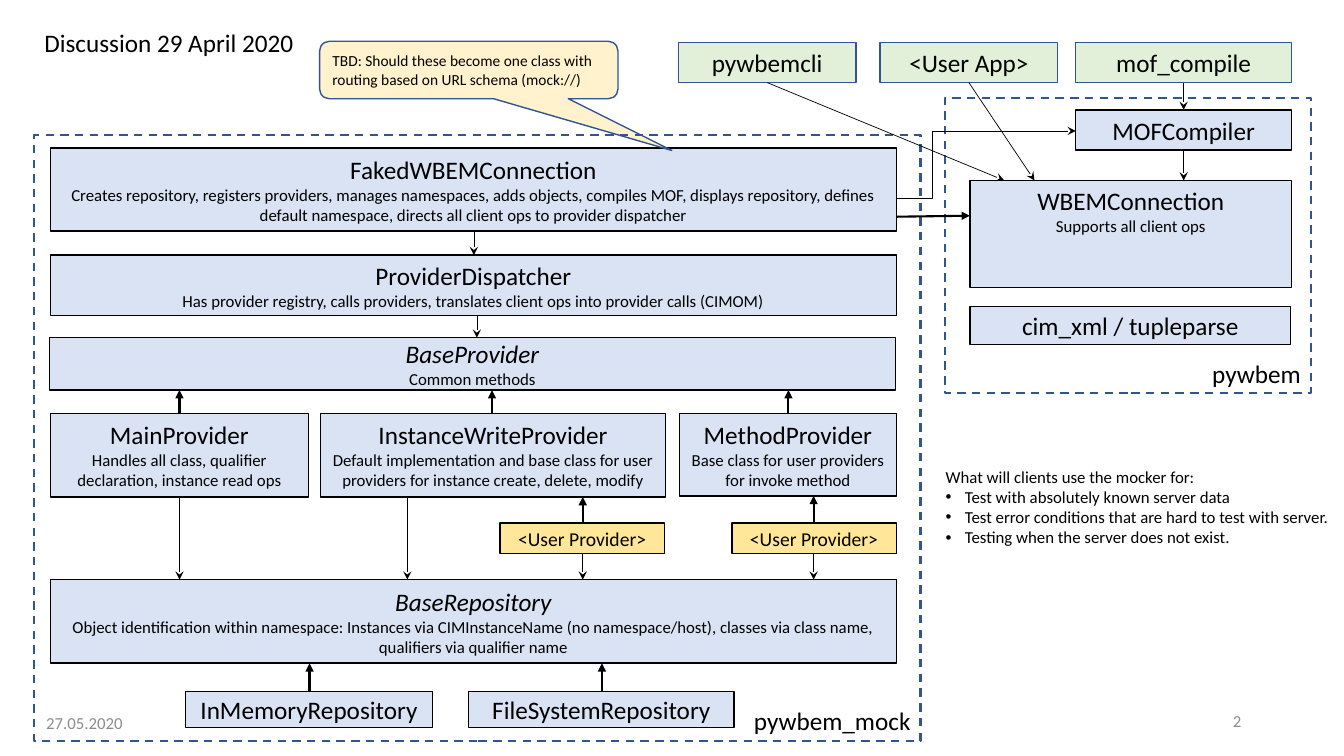
"""Build the class diagram slide of the mock support discussion."""
from lxml.etree import SubElement
from pptx import Presentation
from pptx.dml.color import RGBColor
from pptx.enum.dml import MSO_LINE
from pptx.enum.shapes import MSO_CONNECTOR, MSO_SHAPE
from pptx.enum.text import MSO_ANCHOR, MSO_AUTO_SIZE, PP_ALIGN
from pptx.oxml.ns import qn
from pptx.util import Inches, Pt

BLACK, NAVY, GRAY = "000000", "325491", "8C8C8C"
BLUE, GREEN, YELLOW, CREAM = "DAE3F3", "E2F0D9", "FFE699", "FFF2CC"

TITLE = "Discussion 29 April 2020"
QUESTION = "What will clients use the mocker for:"
ANSWERS = [
    "Test with absolutely known server data",
    "Test error conditions that are hard to test with server.",
    "Testing when the server does not exist.",
]
CALLOUT = "TBD: Should these become one class with routing based on URL schema (mock://)"

CLASSES = {
    "memory": ((1.84, 6.86, 2.45, 0.36), "InMemoryRepository", ""),
    "file": ((4.65, 6.86, 2.63, 0.36), "FileSystemRepository", ""),
    "compiler": ((10.67, 1.09, 2.14, 0.4), "MOFCompiler", ""),
    "faked": ((0.5, 1.47, 8.39, 0.82), "FakedWBEMConnection",
              "Creates repository, registers providers, manages namespaces, adds objects, "
              "compiles MOF, displays repository, defines default namespace, "
              "directs all client ops to provider dispatcher"),
    "connection": ((9.62, 1.79, 3.19, 1.06), "WBEMConnection", "Supports all client ops"),
    "xml": ((9.62, 3.04, 3.18, 0.38), "cim_xml / tupleparse", ""),
    "dispatcher": ((0.5, 2.53, 8.39, 0.6), "ProviderDispatcher",
                   "Has provider registry, calls providers, "
                   "translates client ops into provider calls (CIMOM)"),
    "base": ((0.49, 3.35, 8.39, 0.52), "BaseProvider", "Common methods"),
    "main": ((0.5, 4.1, 2.56, 0.83), "MainProvider",
             "Handles all class, qualifier declaration, instance read ops"),
    "write": ((3.18, 4.1, 3.42, 0.83), "InstanceWriteProvider",
              "Default implementation and base class for user providers "
              "for instance create, delete, modify"),
    "method": ((6.74, 4.1, 2.15, 0.82), "MethodProvider",
               "Base class for user providers for invoke method"),
    "repository": ((0.5, 5.75, 8.39, 0.83), "BaseRepository",
                   "Object identification within namespace: Instances via CIMInstanceName "
                   "(no namespace/host), classes via class name, qualifiers via qualifier name"),
}
USER_PROVIDERS = {"user write": (4.96, 5.19, 1.63, 0.3), "user method": (7.26, 5.19, 1.63, 0.3)}
CLIENTS = {
    "cli": ((6.73, 0.42, 1.76, 0.4), "pywbemcli"),
    "app": ((8.73, 0.42, 1.76, 0.4), "<User App>"),
    "mof": ((10.67, 0.42, 2.14, 0.4), "mof_compile"),
}
ABSTRACT = {"base", "repository"}
PACKAGES = [((0.34, 1.34, 8.79, 6.01), "pywbem_mock"), ((9.37, 0.97, 3.63, 2.93), "pywbem")]

CALLS = [
    ("cli", "connection", 7.61, 9.96), ("app", "connection", 9.61, 10.26),
    ("mof", "compiler", 11.74, 11.74), ("compiler", "connection", 11.74, 11.74),
    ("faked", "dispatcher", 4.7, 4.7), ("dispatcher", "base", 4.73, 4.73),
    ("main", "repository", 1.78, 1.78), ("write", "repository", 4.04, 4.04),
    ("user write", "repository", 5.78, 5.78), ("user method", "repository", 8.07, 8.07),
]
INHERITS = [
    ("main", "base", 1.78), ("write", "base", 4.88), ("method", "base", 7.82),
    ("user write", "write", 5.78), ("user method", "method", 8.07),
    ("memory", "repository", 3.07), ("file", "repository", 5.97),
]


def color(value):
    return RGBColor.from_string(value)


def write(frame, lines, align=PP_ALIGN.CENTER, anchor=MSO_ANCHOR.MIDDLE):
    """Fill a text frame with (text, size, italic, color) lines."""
    frame.text = "\n".join(line[0] for line in lines)
    frame.word_wrap = True
    frame.auto_size = MSO_AUTO_SIZE.NONE
    frame.vertical_anchor = anchor
    for para, (_, size, italic, ink) in zip(frame.paragraphs, lines):
        para.alignment = align
        para.space_before = Pt(0)
        font = para.runs[0].font
        font.name, font.size, font.italic = "Calibri", Pt(size), italic
        font.color.rgb = color(ink)


def add_box(area, fill=None, line=BLACK, width=1, kind=MSO_SHAPE.RECTANGLE):
    box = slide.shapes.add_shape(kind, *map(Inches, area))
    box.shadow.inherit = False
    if fill:
        box.fill.solid()
        box.fill.fore_color.rgb = color(fill)
    else:
        box.fill.background()
    box.line.color.rgb = color(line)
    box.line.width = Pt(width)
    return box


def add_arrow(start, end, width=0.5, head="stealth", kind=MSO_CONNECTOR.STRAIGHT):
    arrow = slide.shapes.add_connector(kind, *map(Inches, start + end))
    arrow.line.color.rgb = color(BLACK)
    arrow.line.width = Pt(width)
    SubElement(arrow.line._get_or_add_ln(), qn("a:tailEnd"), type=head)
    SubElement(arrow._element.spPr, qn("a:effectLst"))
    return arrow


def join(source, target, start_x, end_x, **style):
    """Run an arrow between the facing edges of two boxes."""
    _, top, _, height = areas[source]
    _, target_top, _, target_height = areas[target]
    if top < target_top:
        start_y, end_y = top + height, target_top
    else:
        start_y, end_y = top, target_top + target_height
    add_arrow((start_x, start_y), (end_x, end_y), **style)


def place(shape, area):
    shape.left, shape.top, shape.width, shape.height = map(Inches, area)


deck = Presentation()
deck.slide_width, deck.slide_height = Inches(13.33), Inches(7.5)
slide = deck.slides.add_slide(deck.slide_layouts[1])
title, body = slide.shapes.title, slide.placeholders[1]

place(title, (0.34, 0.22, 2.7, 0.4))
write(title.text_frame, [(TITLE, 18, False, BLACK)], PP_ALIGN.LEFT, MSO_ANCHOR.TOP)
title.text_frame.word_wrap = False

place(body, (9.28, 4.58, 4.05, 0.91))
write(body.text_frame, [(text, 12, False, BLACK) for text in [QUESTION] + ANSWERS],
      PP_ALIGN.LEFT, MSO_ANCHOR.TOP)
for number, para in enumerate(body.text_frame.paragraphs):
    properties = para._p.get_or_add_pPr()
    indent = Inches(0.19) if number else 0
    properties.set("marL", str(indent))
    properties.set("indent", str(-indent))
    if number:
        SubElement(properties, qn("a:buFont"), typeface="Arial")
        SubElement(properties, qn("a:buChar"), char="•")
    else:
        SubElement(properties, qn("a:buNone"))

areas = dict(USER_PROVIDERS)
for key, (area, name, detail) in CLASSES.items():
    areas[key] = area
    lines = [(name, 18, key in ABSTRACT, BLACK)]
    if detail:
        lines.append((detail, 12, False, BLACK))
    anchor = MSO_ANCHOR.TOP if key == "connection" else MSO_ANCHOR.MIDDLE
    write(add_box(area, BLUE).text_frame, lines, anchor=anchor)

for area in USER_PROVIDERS.values():
    write(add_box(area, YELLOW).text_frame, [("<User Provider>", 14, False, BLACK)])

for key, (area, name) in CLIENTS.items():
    areas[key] = area
    write(add_box(area, GREEN, NAVY).text_frame, [(name, 18, False, BLACK)])

callout = add_box((3.17, 0.41, 2.96, 0.57), CREAM, NAVY,
                  kind=MSO_SHAPE.ROUNDED_RECTANGULAR_CALLOUT)
for number, value in enumerate((0.68, 1.4, 0.17)):
    callout.adjustments[number] = value
write(callout.text_frame, [(CALLOUT, 11, False, BLACK)], PP_ALIGN.LEFT)

for area, name in PACKAGES:
    package = add_box(area, None, NAVY, 1.5)
    package.line.dash_style = MSO_LINE.DASH
    write(package.text_frame, [(name, 18, False, BLACK)], PP_ALIGN.RIGHT, MSO_ANCHOR.BOTTOM)

for call in CALLS:
    join(*call)
for child, parent, x in INHERITS:
    join(child, parent, x, x, width=1.5, head="triangle")
add_arrow((8.89, 2.15), (9.62, 2.14), 1.5, "triangle")
compile_arrow = add_arrow((8.9, 1.97), (10.67, 1.3), kind=MSO_CONNECTOR.ELBOW)
bends = compile_arrow._element.spPr.find(qn("a:prstGeom")).get_or_add_avLst()
SubElement(bends, qn("a:gd"), name="adj1", fmla="val 19500")

for area, text, align in [((0.36, 6.97, 3, 0.4), "27.05.2020", PP_ALIGN.LEFT),
                          ((11.49, 6.95, 0.92, 0.4), "2", PP_ALIGN.RIGHT)]:
    footer = slide.shapes.add_textbox(*map(Inches, area))
    write(footer.text_frame, [(text, 12, False, GRAY)], align)

deck.save("out.pptx")
